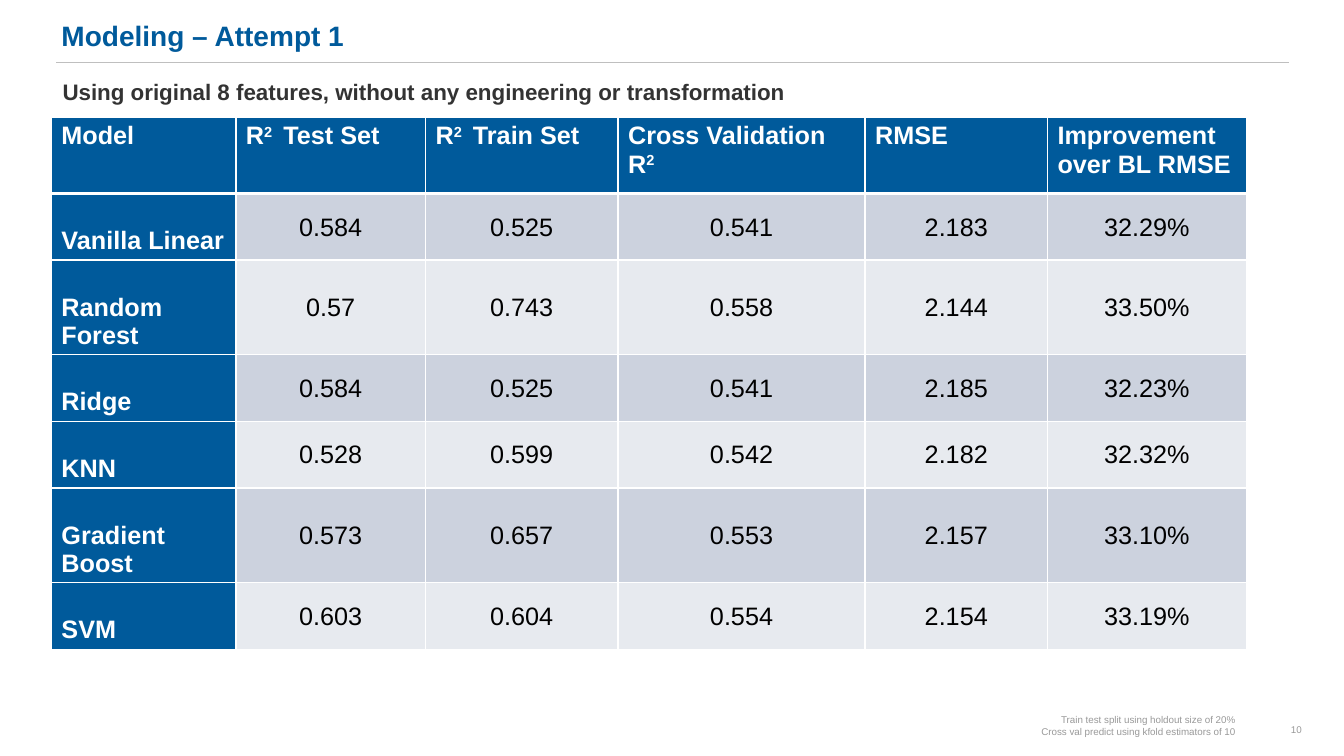
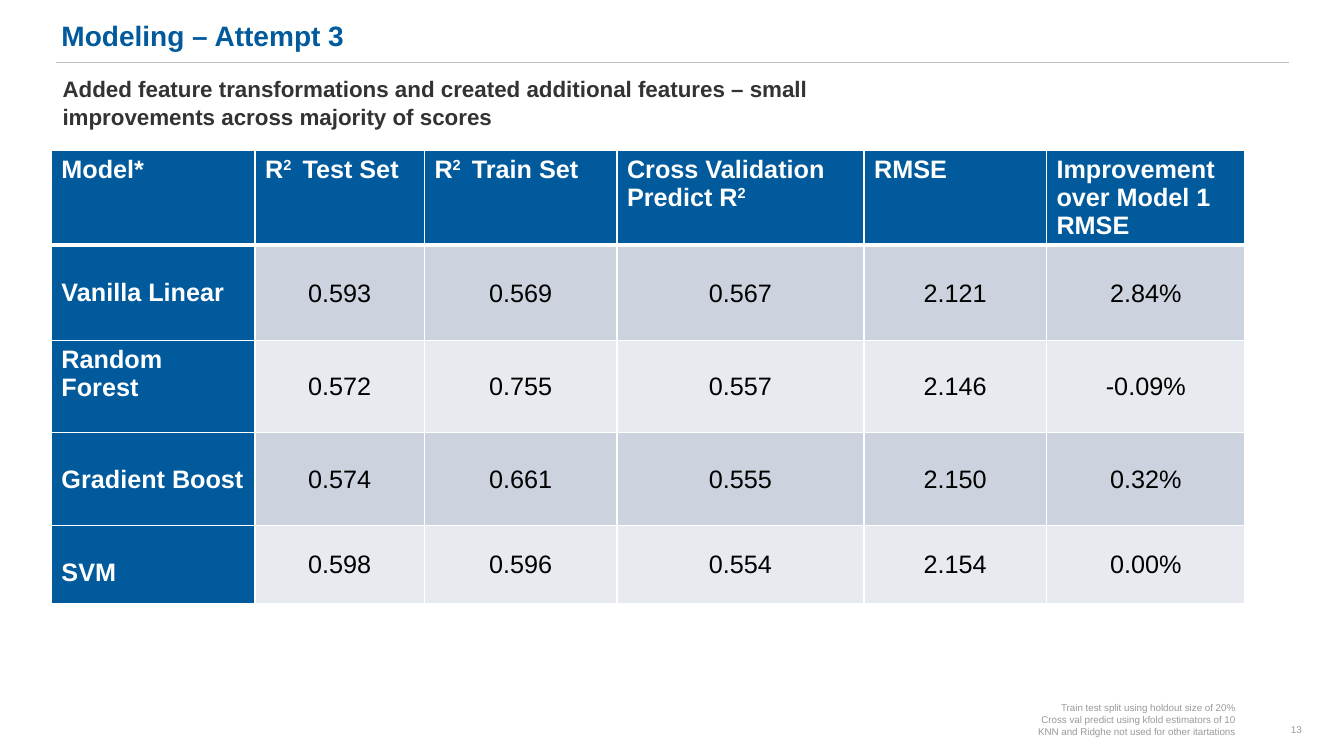
"""Build two slides that compare regression models in tables."""
from dataclasses import dataclass

import lxml.etree
import pptx
import pptx.dml.color
import pptx.enum.shapes
import pptx.enum.text
import pptx.oxml.ns
import pptx.util

Inches = pptx.util.Inches
Pt = pptx.util.Pt
Align = pptx.enum.text.PP_ALIGN
Anchor = pptx.enum.text.MSO_ANCHOR


@dataclass(frozen=True)
class Theme:
    font: str = "Arial"
    blue: str = "005A9B"
    white: str = "FFFFFF"
    black: str = "000000"
    dark: str = "333333"
    gray: str = "999999"
    rule: str = "BFBFBF"
    bands: tuple[str, str] = ("CCD2DE", "E7EAEF")
    title_size: float = 20
    subtitle_size: float = 16
    table_size: float = 18
    note_size: float = 7
    thin: float = 1
    thick: float = 3


THEME = Theme()
LABEL_DROP = 0.33


@dataclass(frozen=True)
class ModelRow:
    name: str
    scores: tuple[str, ...]
    height: float
    drop: float = LABEL_DROP


@dataclass(frozen=True)
class ResultPage:
    number: int
    title: str
    subtitle: str
    subtitle_top: float
    table_top: float
    header_height: float
    headers: tuple[str, ...]
    widths: tuple[float, ...]
    rows: tuple[ModelRow, ...]
    notes: tuple[str, ...]


SHARED_WIDTHS = (1.91, 2.45, 1.81, 1.97)
SHARED_NOTES = (
    "Train test split using holdout size of 20%",
    "Cross val predict using kfold estimators of 10",
)
SCORE_HEADERS = ("R^2 ^ Test Set", "R^2 ^ Train Set")

PAGES = (
    ResultPage(
        number=10,
        title="Modeling – Attempt 1",
        subtitle="Using original 8 features, without any engineering or transformation",
        subtitle_top=0.71,
        table_top=1.16,
        header_height=0.76,
        headers=("Model", *SCORE_HEADERS, "Cross Validation R^2", "RMSE",
                 "Improvement over BL RMSE"),
        widths=(1.83, 1.88, *SHARED_WIDTHS),
        rows=(
            ModelRow("Vanilla Linear", ("0.584", "0.525", "0.541", "2.183", "32.29%"), 0.66),
            ModelRow("Random Forest", ("0.57", "0.743", "0.558", "2.144", "33.50%"), 0.94),
            ModelRow("Ridge", ("0.584", "0.525", "0.541", "2.185", "32.23%"), 0.66),
            ModelRow("KNN", ("0.528", "0.599", "0.542", "2.182", "32.32%"), 0.66),
            ModelRow("Gradient Boost", ("0.573", "0.657", "0.553", "2.157", "33.10%"), 0.94),
            ModelRow("SVM", ("0.603", "0.604", "0.554", "2.154", "33.19%"), 0.66),
        ),
        notes=SHARED_NOTES,
    ),
    ResultPage(
        number=13,
        title="Modeling – Attempt 3",
        subtitle="Added feature transformations and created additional features – small "
                 "improvements across majority of scores",
        subtitle_top=0.68,
        table_top=1.49,
        header_height=0.94,
        headers=("Model*", *SCORE_HEADERS, "Cross Validation Predict R^2", "RMSE",
                 "Improvement over Model 1 RMSE"),
        widths=(2.02, 1.68, *SHARED_WIDTHS),
        rows=(
            ModelRow("Vanilla Linear", ("0.593", "0.569", "0.567", "2.121", "2.84%"), 0.95),
            ModelRow("Random Forest", ("0.572", "0.755", "0.557", "2.146", "-0.09%"), 0.91, 0.05),
            ModelRow("Gradient Boost", ("0.574", "0.661", "0.555", "2.150", "0.32%"), 0.92),
            ModelRow("SVM", ("0.598", "0.596", "0.554", "2.154", "0.00%"), 0.78),
        ),
        notes=(*SHARED_NOTES, "KNN and Ridghe not used for other itartations"),
    ),
)


def rgb(value: str) -> pptx.dml.color.RGBColor:
    return pptx.dml.color.RGBColor.from_string(value)


def write(frame, *lines: str, size: float, color: str, bold: bool = False,
          align=Align.LEFT, spacing: float = 1.0) -> None:
    """Fill a frame with one paragraph a line; text between carets is raised."""
    for index, line in enumerate(lines):
        para = frame.paragraphs[0] if index == 0 else frame.add_paragraph()
        para.alignment = align
        para.line_spacing = spacing
        para.space_before = Pt(0)
        for part, text in enumerate(line.split("^")):
            if not text:
                continue
            span = para.add_run()
            span.text = text
            span.font.name = THEME.font
            span.font.size = Pt(size)
            span.font.bold = bold
            span.font.color.rgb = rgb(color)
            if part % 2:
                span._r.get_or_add_rPr().set("baseline", "30000")


def add_text(page, left: float, top: float, width: float, height: float,
             *lines: str, anchor=Anchor.TOP, indent: float = 0.1, **style) -> None:
    box = page.shapes.add_textbox(Inches(left), Inches(top), Inches(width), Inches(height))
    frame = box.text_frame
    frame.word_wrap = True
    frame.vertical_anchor = anchor
    frame.margin_left = Inches(indent)
    write(frame, *lines, **style)


def set_borders(cell, top: float, bottom: float) -> None:
    properties = cell._tc.get_or_add_tcPr()
    edges = {"lnL": THEME.thin, "lnR": THEME.thin, "lnT": top, "lnB": bottom}
    for index, (edge, width) in enumerate(edges.items()):
        line = lxml.etree.Element(pptx.oxml.ns.qn(f"a:{edge}"), w=str(Pt(width)))
        fill = lxml.etree.SubElement(line, pptx.oxml.ns.qn("a:solidFill"))
        lxml.etree.SubElement(fill, pptx.oxml.ns.qn("a:srgbClr"), val=THEME.white)
        properties.insert(index, line)


def fill_cell(cell, text: str, *, fill: str, color: str, row: int, bold: bool = False,
              align=Align.LEFT, anchor=Anchor.TOP, side: float = 0.1,
              top: float = 0.05, bottom: float = 0.05) -> None:
    cell.fill.solid()
    cell.fill.fore_color.rgb = rgb(fill)
    cell.vertical_anchor = anchor
    cell.margin_left = cell.margin_right = Inches(side)
    cell.margin_top, cell.margin_bottom = Inches(top), Inches(bottom)
    write(cell.text_frame, text, size=THEME.table_size, color=color, bold=bold, align=align)
    set_borders(cell, top=THEME.thick if row == 1 else THEME.thin,
                bottom=THEME.thick if row == 0 else THEME.thin)


def add_results(page, content: ResultPage) -> None:
    heights = (content.header_height, *(row.height for row in content.rows))
    table = page.shapes.add_table(
        len(heights), len(content.widths), Inches(0.51), Inches(content.table_top),
        Inches(sum(content.widths)), Inches(sum(heights))).table
    for column, width in zip(table.columns, content.widths):
        column.width = Inches(width)
    for table_row, height in zip(table.rows, heights):
        table_row.height = Inches(height)
    heading = {"fill": THEME.blue, "color": THEME.white, "bold": True}
    for column, header in enumerate(content.headers):
        fill_cell(table.cell(0, column), header, row=0, **heading)
    for index, model in enumerate(content.rows, start=1):
        fill_cell(table.cell(index, 0), model.name, row=index, top=model.drop, **heading)
        for column, score in enumerate(model.scores, start=1):
            fill_cell(table.cell(index, column), score, row=index,
                      fill=THEME.bands[(index - 1) % 2], color=THEME.black,
                      align=Align.CENTER, anchor=Anchor.MIDDLE,
                      side=0.01, top=0.01, bottom=0)


def add_rule(page) -> None:
    rule = page.shapes.add_connector(
        pptx.enum.shapes.MSO_CONNECTOR.STRAIGHT,
        Inches(0.56), Inches(0.62), Inches(12.78), Inches(0.62))
    rule.line.color.rgb = rgb(THEME.rule)
    rule.line.width = Pt(THEME.thin)
    lxml.etree.SubElement(rule._element.spPr, pptx.oxml.ns.qn("a:effectLst"))


def add_title(page, text: str) -> None:
    title = page.shapes.title
    title.left, title.top = Inches(0.51), Inches(0.12)
    title.width, title.height = Inches(12), Inches(0.57)
    title.text_frame.vertical_anchor = Anchor.TOP
    title.text_frame.auto_size = pptx.enum.text.MSO_AUTO_SIZE.NONE
    write(title.text_frame, text, size=THEME.title_size, color=THEME.blue,
          bold=True, spacing=1.05)


def add_page(deck, content: ResultPage) -> None:
    page = deck.slides.add_slide(deck.slide_layouts.get_by_name("Title Only"))
    add_rule(page)
    add_results(page, content)
    add_title(page, content.title)
    add_text(page, 0.27, content.subtitle_top, 9.01, 0.67, content.subtitle,
             indent=0.35, size=THEME.subtitle_size, color=THEME.dark,
             bold=True, spacing=1.05)
    footer = {"anchor": Anchor.BOTTOM, "align": Align.RIGHT,
              "size": THEME.note_size, "color": THEME.gray}
    add_text(page, 12.51, 6.73, 0.5, 0.62, str(content.number), **footer)
    add_text(page, 6.19, 6.97, 6.16, 0.39, *content.notes, **footer)


def main() -> None:
    deck = pptx.Presentation()
    deck.slide_width, deck.slide_height = Inches(13.33), Inches(7.5)
    for content in PAGES:
        add_page(deck, content)
    deck.save("out.pptx")


if __name__ == "__main__":
    main()
